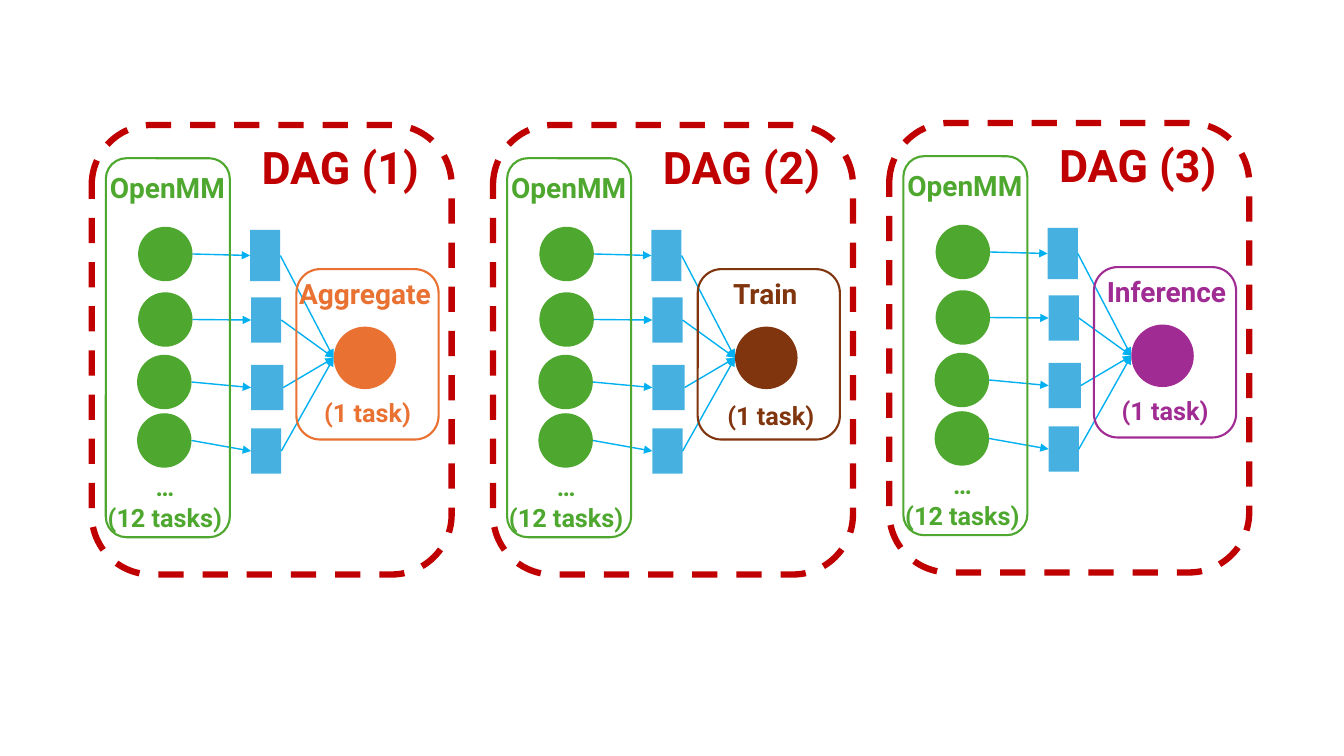
from lxml.etree import SubElement
from pptx import Presentation
from pptx.dml.color import RGBColor as Rgb
from pptx.enum.dml import MSO_LINE as Dash
from pptx.enum.shapes import MSO_CONNECTOR as Link, MSO_SHAPE as Kind
from pptx.enum.text import PP_ALIGN as Align
from pptx.oxml.ns import qn
from pptx.util import Inches, Pt

HUES = {
    "frame": "C00000", "sim": "4EA72E", "file": "46B1E1", "arrow": "00B0F0",
    "Aggregate": "E97132", "Train": "80350E", "Inference": "A02B93",
}
FONT = "Roboto"
CELL = 0.1  # inches per grid column and row

# Final task, frame column and row, label column, note column and row
DAGS = [
    ("Aggregate", 9.1, 12.4, 17.7, 17.9, 26.5),
    ("Train", 48.9, 12.4, 17.6, 18.1, 26.8),
    ("Inference", 88.2, 12.2, 18.1, 17.9, 26.5),
]
# Column and row of each simulation, relative to the frame
SIMS = [(4.6, 10.1), (4.6, 16.6), (4.5, 22.8), (4.5, 28.6)]
# Column, row, width and height of each output file
FILES = [(15.7, 10.4, 3, 5.1), (15.8, 17.1, 3, 4.5),
         (15.8, 23.8, 3.2, 4.5), (15.8, 30.1, 3, 4.5)]
SIM = 5.4
GOAL = (24, 20, 6.2)
LEFT, RIGHT = 1, 3


class Board:
    """Draws on one slide; places are grid cells from the current group's origin."""

    def __init__(self, deck):
        self.slide = deck.slides.add_slide(deck.slide_layouts[6])

    def group(self, col, row):
        self.col, self.row = col, row
        self.shapes = self.slide.shapes.add_group_shape().shapes

    def spot(self, col, row):
        return Inches((self.col + col) * CELL), Inches((self.row + row) * CELL)

    def add(self, kind, col, row, wide, high):
        shape = self.shapes.add_shape(
            kind, *self.spot(col, row), Inches(wide * CELL), Inches(high * CELL))
        shape.shadow.inherit = False
        return shape

    def solid(self, kind, hue, *box):
        shape = self.add(kind, *box)
        shape.fill.solid()
        shape.fill.fore_color.rgb = Rgb.from_string(HUES[hue])
        shape.line.fill.background()
        return shape

    def frame(self, hue, *box, width=1.5, dash=None):
        shape = self.add(Kind.ROUNDED_RECTANGLE, *box)
        shape.fill.background()
        shape.line.color.rgb = Rgb.from_string(HUES[hue])
        shape.line.width = Pt(width)
        if dash:
            shape.line.dash_style = dash

    def text(self, words, hue, size, col, row, wide, high):
        box = self.shapes.add_textbox(
            *self.spot(col, row), Inches(wide * CELL), Inches(high * CELL))
        frame = box.text_frame
        frame.word_wrap = True
        frame.text = words
        for para in frame.paragraphs:
            para.alignment = Align.CENTER
            for run in para.runs:
                font = run.font
                font.name, font.size, font.bold = FONT, Pt(size), True
                font.color.rgb = Rgb.from_string(HUES[hue])

    def arrow(self, start, end):
        line = self.shapes.add_connector(
            Link.STRAIGHT, *self.spot(*start), *self.spot(*end))
        line.line.color.rgb = Rgb.from_string(HUES["arrow"])
        line.line.width = Pt(1)
        SubElement(line.line._get_or_add_ln(), qn("a:tailEnd"), type="triangle")
        SubElement(line._element.spPr, qn("a:effectLst"))
        return line

    def flow(self, sim, file):
        """Draws one simulation, its output file and the arrows on to the goal."""
        self.solid(Kind.OVAL, "sim", *sim, SIM, SIM)
        sheet = self.solid(Kind.RECTANGLE, "file", *file)
        col, row, wide, high = file
        mid = row + high / 2
        inward = self.arrow((sim[0] + SIM, sim[1] + SIM / 2), (col, mid))
        inward.end_connect(sheet, LEFT)
        left, top, size = GOAL
        onward = self.arrow((col + wide, mid), (left, top + size / 2))
        onward.begin_connect(sheet, RIGHT)

    def dag(self, num, name, col, row, label, note, base):
        self.group(col, row)
        for sim, file in zip(SIMS, FILES):
            self.flow(sim, file)
        self.text("OpenMM", "sim", 20, -1.1, 4, 17.2, 4.4)
        self.frame("sim", 1.4, 3.3, 12.3, 37.6)
        self.frame("frame", 0, 0, 35.7, 44.6, width=4.5, dash=Dash.DASH)
        self.text(f"DAG ({num})", "frame", 32, 15.1, 1, 19.1, 6.4)
        self.text("…\n(12 tasks)", "sim", 18, -2.2, 33.9, 18.9, 7)
        left, top, size = GOAL
        self.solid(Kind.OVAL, name, left, top, size, size)
        self.text(name, name, 20, label, 14.5, 18.8, 4.4)
        self.frame(name, 20.3, 14.3, 14.1, 16.9)
        self.text("(1 task)", name, 18, note, base, 18.9, 4)


def main():
    deck = Presentation()
    deck.slide_width, deck.slide_height = Inches(13.33), Inches(7.5)
    board = Board(deck)
    for num, dag in enumerate(DAGS, 1):
        board.dag(num, *dag)
    deck.save("out.pptx")


if __name__ == "__main__":
    main()
